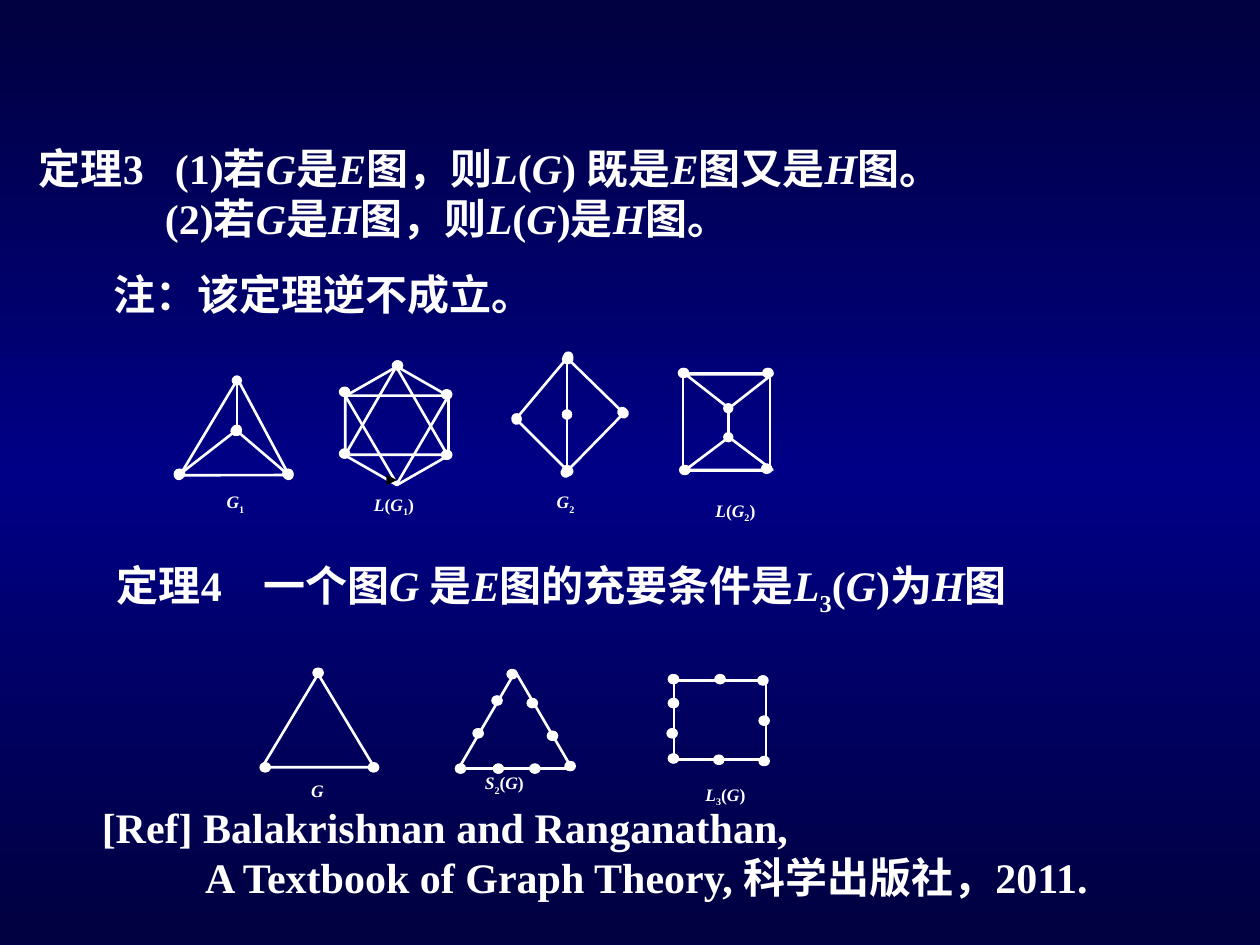
from dataclasses import dataclass

from lxml.etree import SubElement
from pptx import Presentation
from pptx.dml.color import RGBColor
from pptx.enum.shapes import MSO_CONNECTOR as Conn, MSO_SHAPE as Shp
from pptx.enum.text import MSO_ANCHOR as Anchor, MSO_AUTO_SIZE as AutoSize
from pptx.oxml.ns import qn
from pptx.util import Inches, Pt

COLORS = {"white": "FFFFFF", "black": "000000", "edge": "00003E", "middle": "000086"}
FONT = "Times New Roman"
DOT = 0.01


@dataclass(frozen=True)
class Para:
    text: str
    indent: float = 0
    tab: float = 0


@dataclass(frozen=True)
class Outline:
    kind: Shp
    box: tuple
    rotation: float = 0


@dataclass(frozen=True)
class Label:
    text: str
    box: tuple


@dataclass(frozen=True)
class Graph:
    label: Label
    outlines: tuple = ()
    edges: tuple = ()
    vertices: tuple = ()


GRAPHS_THEOREM_3 = (
    Graph(
        Label("*G*_1", (1.7, 3.85, 0.46, 0.29)),
        outlines=(Outline(Shp.ISOSCELES_TRIANGLE, (1.53, 3.21, 0.89, 0.74), 120.9),),
        edges=((1.88, 3.02, 1.88, 3.41), (1.87, 3.42, 1.42, 3.77), (1.88, 3.42, 2.29, 3.77)),
        vertices=((1.42, 3.76), (2.28, 3.76)),
    ),
    Graph(
        Label("*L*(*G*_1)", (2.87, 3.87, 0.67, 0.35)),
        outlines=(
            Outline(Shp.HEXAGON, (2.68, 2.97, 0.94, 0.82), 90),
            Outline(Shp.ISOSCELES_TRIANGLE, (2.74, 2.91, 0.81, 0.7)),
            Outline(Shp.ISOSCELES_TRIANGLE, (2.74, 3.14, 0.82, 0.7), 180),
        ),
        vertices=((3.54, 3.13), (3.15, 2.9), (3.54, 3.61), (2.73, 3.6), (2.73, 3.11)),
    ),
    Graph(
        Label("*G*_2", (4.32, 3.85, 0.44, 0.27)),
        edges=((4.5, 3.29, 4.5, 2.85), (4.51, 2.85, 4.94, 3.27), (4.51, 2.83, 4.1, 3.32),
               (4.5, 3.29, 4.5, 3.73), (4.1, 3.33, 4.51, 3.74), (4.95, 3.28, 4.49, 3.75)),
    ),
    Graph(
        Label("*L*(*G*_2)", (5.58, 3.92, 0.64, 0.36)),
        outlines=(
            Outline(Shp.RECTANGLE, (5.42, 2.96, 0.69, 0.78)),
            Outline(Shp.ISOSCELES_TRIANGLE, (5.44, 3.47, 0.69, 0.26)),
            Outline(Shp.ISOSCELES_TRIANGLE, (5.44, 2.97, 0.69, 0.27), 180),
        ),
        edges=((5.78, 3.24, 5.78, 3.47),),
        vertices=((5.42, 2.96), (6.09, 2.96), (5.43, 3.73), (6.08, 3.72)),
    ),
)
GRAPHS_THEOREM_4 = (
    Graph(
        Label("*G*", (2.37, 6.14, 0.35, 0.28)),
        outlines=(Outline(Shp.ISOSCELES_TRIANGLE, (2.08, 5.35, 0.89, 0.74)),),
        vertices=((2.52, 5.34), (2.1, 6.09), (2.96, 6.09)),
    ),
    Graph(
        Label("*S*_2(*G*)", (3.75, 6.08, 0.74, 0.35)),
        outlines=(Outline(Shp.ISOSCELES_TRIANGLE, (3.64, 5.33, 0.9, 0.77)),),
        vertices=((3.65, 6.1), (4.06, 5.35), (3.94, 5.56), (4.52, 6.08), (4.38, 5.84),
                  (4.22, 5.58), (3.79, 5.82), (4.24, 6.1), (3.95, 6.1)),
    ),
    Graph(
        Label("*L*_3(*G*)", (5.5, 6.17, 0.65, 0.31)),
        outlines=(Outline(Shp.RECTANGLE, (5.35, 5.4, 0.73, 0.63)),),
        vertices=((5.34, 6.02), (5.33, 5.82), (5.34, 5.58), (5.34, 5.39), (6.05, 5.4),
                  (5.71, 5.39), (5.7, 6.03), (6.06, 6.04), (6.06, 5.72)),
    ),
)


def rgb(name: str) -> RGBColor:
    return RGBColor.from_string(COLORS[name])


def set_background(s) -> None:
    s.background.fill.gradient()
    stops = s.element.find(".//" + qn("a:gsLst"))
    for stop in list(stops):
        stops.remove(stop)
    for pos, name in ((0, "edge"), (50000, "middle"), (100000, "edge")):
        stop = SubElement(stops, qn("a:gs"), pos=str(pos))
        SubElement(stop, qn("a:srgbClr"), val=COLORS[name])
    s.element.find(".//" + qn("a:lin")).set("ang", "5400000")


def add_run(p, text: str, size: float, italic: bool, sub: bool = False) -> None:
    if not text:
        return
    r = p.add_run()
    r.text = text
    r.font.name, r.font.size = FONT, Pt(size)
    r.font.bold, r.font.italic = True, italic
    r.font.color.rgb = rgb("white")
    if sub:
        r.font._element.set("baseline", "-25000")


def add_text(shapes, box: tuple, *paras: Para, size: float = 24,
             anchor: Anchor = Anchor.TOP, grow: bool = True) -> None:
    """Add a text box; *x* marks italics and _x one subscript character."""
    tf = shapes.add_textbox(*map(Inches, box)).text_frame
    tf.word_wrap = True
    tf.auto_size = AutoSize.SHAPE_TO_FIT_TEXT if grow else AutoSize.NONE
    tf.vertical_anchor = anchor
    for n, para in enumerate(paras):
        p = tf.add_paragraph() if n else tf.paragraphs[0]
        pPr = p._p.get_or_add_pPr()
        if para.indent:
            pPr.set("marL", "0")
            pPr.set("indent", str(Inches(para.indent)))
        if para.tab:
            tabs = SubElement(pPr, qn("a:tabLst"))
            SubElement(tabs, qn("a:tab"), pos=str(Inches(para.tab)), algn="l")
        for i, part in enumerate(para.text.split("*")):
            plain, *subs = part.split("_")
            add_run(p, plain, size, i % 2 == 1)
            for piece in subs:
                add_run(p, piece[0], size, False, sub=True)
                add_run(p, piece[1:], size, False)


def add_line(shapes, ends: tuple, head: str = "oval", tail: str = "oval",
             color: str = "white", width: float = 1.5) -> None:
    line = shapes.add_connector(Conn.STRAIGHT, *map(Inches, ends))
    line.line.color.rgb = rgb(color)
    line.line.width = Pt(width)
    ln = line.line._get_or_add_ln()
    SubElement(ln, qn("a:headEnd"), type=head)
    SubElement(ln, qn("a:tailEnd"), type=tail)
    SubElement(line._element.spPr, qn("a:effectLst"))


def add_outline(shapes, outline: Outline) -> None:
    sp = shapes.add_shape(outline.kind, *map(Inches, outline.box))
    sp.rotation = outline.rotation
    if outline.kind == Shp.HEXAGON:
        sp.adjustments[0] = 0.286
    sp.shadow.inherit = False
    sp.fill.background()
    sp.line.color.rgb = rgb("white")
    sp.line.width = Pt(1.5)


def add_graph(shapes, graph: Graph) -> None:
    for outline in graph.outlines:
        add_outline(shapes, outline)
    for edge in graph.edges:
        add_line(shapes, edge)
    for x, y in graph.vertices:
        add_line(shapes, (x, y, x + DOT, y))
    add_text(shapes, graph.label.box, Para(graph.label.text), size=10, grow=False)


def main() -> None:
    prs = Presentation()
    prs.slide_width, prs.slide_height = Inches(10), Inches(7.5)
    s = prs.slides.add_slide(prs.slide_layouts[6])
    set_background(s)

    add_text(s.shapes, (0.21, 1.08, 8.88, 0.9),
             Para("定理3\t(1)若*G*是*E*图，则*L*(*G*) 既是*E*图又是*H*图。", tab=1.08),
             Para("(2)若*G*是*H*图，则*L*(*G*)是*H*图。", indent=1),
             anchor=Anchor.MIDDLE)
    add_text(s.shapes, (0.42, 2.08, 8.75, 0.5), Para("注：该定理逆不成立。", indent=0.38))

    group = s.shapes.add_group_shape()
    for graph in GRAPHS_THEOREM_3:
        add_graph(group.shapes, graph)
    add_line(group.shapes, (3.14, 3.81, 3.15, 3.81), head="none", tail="triangle",
             color="black", width=0.75)

    add_text(s.shapes, (0.83, 4.19, 7.67, 0.96),
             Para("定理4\t一个图*G *是*E*图的充要条件是*L*_3(*G*)为*H*图", tab=1.16),
             anchor=Anchor.MIDDLE)

    group = s.shapes.add_group_shape()
    for graph in GRAPHS_THEOREM_4:
        add_graph(group.shapes, graph)

    add_text(s.shapes, (0.71, 6.31, 8.7, 0.9),
             Para("[Ref] Balakrishnan and Ranganathan,"),
             Para("A Textbook of Graph Theory, 科学出版社，2011.", indent=0.82),
             anchor=Anchor.MIDDLE)
    prs.save("out.pptx")


if __name__ == "__main__":
    main()
